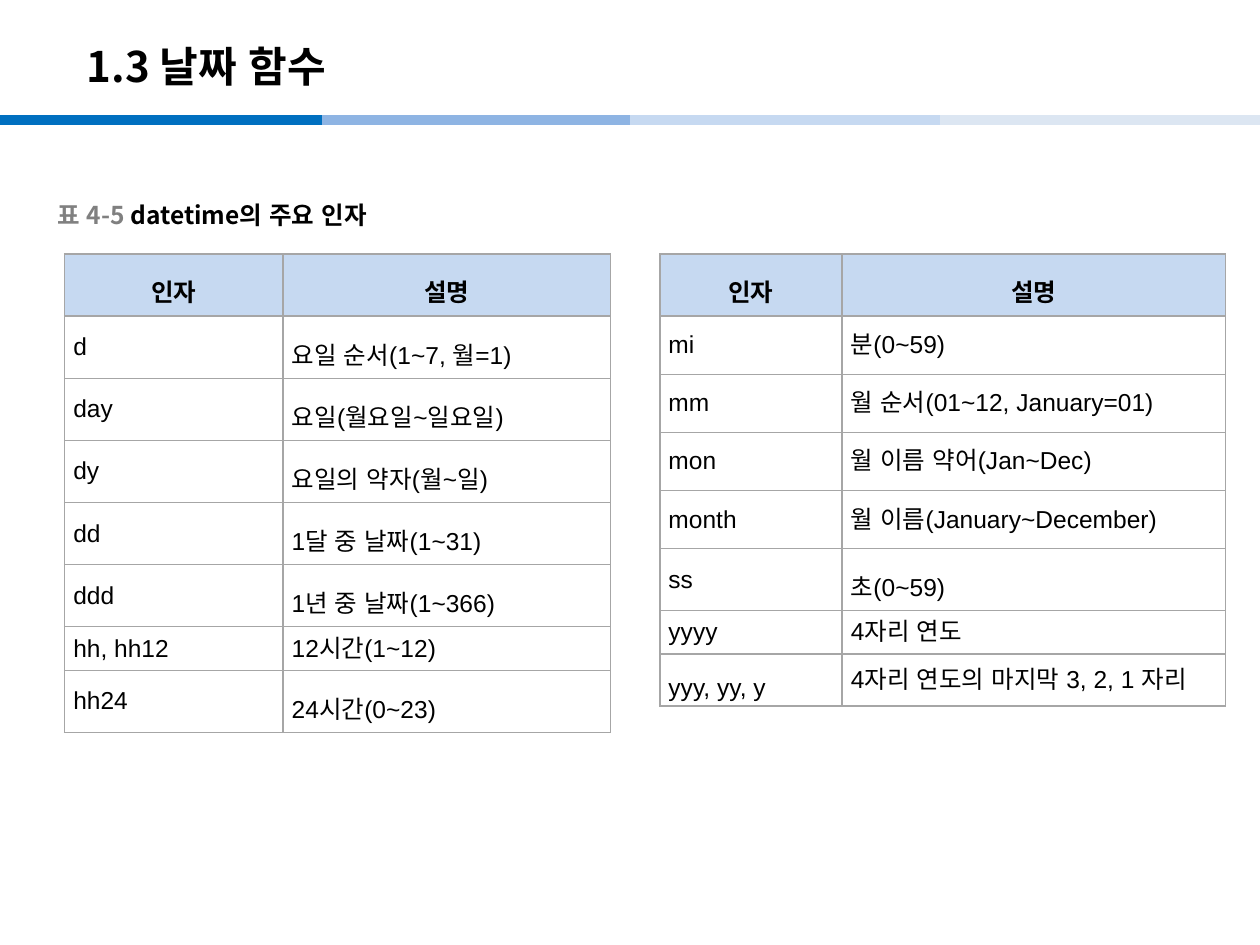
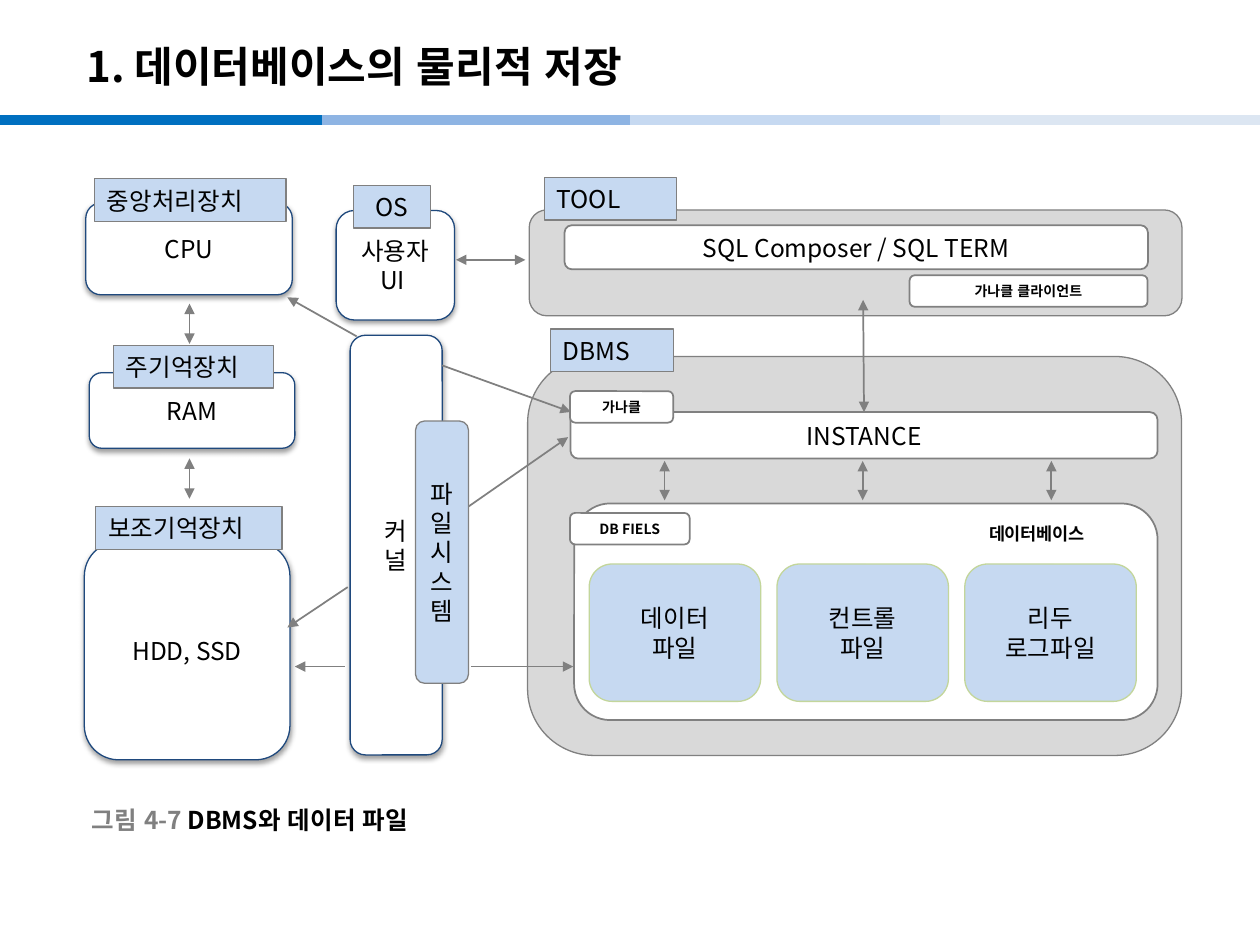
from lxml import etree
from pptx import Presentation
from pptx.dml.color import RGBColor
from pptx.enum import shapes as kinds, text as txt
from pptx.oxml import ns, parse_xml
from pptx.util import Pt

BLACK = RGBColor(0, 0, 0)
WHITE = RGBColor(255, 255, 255)
GREY = RGBColor(0x80, 0x80, 0x80)
PALE = RGBColor(0xD9, 0xD9, 0xD9)
RULE = RGBColor(0xA6, 0xA6, 0xA6)
NAVY = RGBColor(0x1F, 0x49, 0x7D)
GREEN = RGBColor(0xC3, 0xD6, 0x9B)
SKY = RGBColor(0xC6, 0xD9, 0xF1)
BANDS = [
    (0, RGBColor(0x00, 0x70, 0xC0)),
    (184.3, RGBColor(0x8E, 0xB4, 0xE3)),
    (360, SKY),
    (537, RGBColor(0xDC, 0xE6, 0xF2)),
]
NOTO, ARIAL = "Noto Sans CJK KR", "Arial"
LEFT, MID = txt.PP_ALIGN.LEFT, txt.PP_ALIGN.CENTER
ROUND, RECT = kinds.MSO_SHAPE.ROUNDED_RECTANGLE, kinds.MSO_SHAPE.RECTANGLE

BODY = {"size": Pt(14), "name": NOTO, "bold": False}
HEAD = {**BODY, "size": Pt(24), "bold": True}
BOLD = {**BODY, "bold": True}
NOTE = {**BOLD, "size": Pt(10)}
SMALL = {**BOLD, "size": Pt(8)}
CELL = {**BODY, "name": ARIAL}

UNIT = {"kind": ROUND, "fill": WHITE, "line": NAVY, "width": 0.75, "glow": True}
TAG = {"kind": RECT, "fill": SKY, "line": GREY, "width": 0.75, "align": LEFT}
PANEL = {"kind": ROUND, "fill": PALE, "line": GREY, "width": 0.75}
BAR = {"kind": ROUND, "fill": WHITE, "line": GREY, "width": 1}
CHIP = {**BAR, "font": SMALL}
FILE = {**PANEL, "fill": SKY, "line": GREEN}
STRIP = {**PANEL, "fill": SKY}
NAME = {**TAG, "fill": WHITE, "line": WHITE, "width": 2, "font": NOTE}

TAG_H = 24.5
TALL, PLAIN, LOW = 35.5, 33.2, 24.9
DARK = (
    f'<a:effectLst {ns.nsdecls("a")}><a:outerShdw blurRad="39370" dist="20320" '
    'dir="5400000" rotWithShape="0"><a:srgbClr val="000000"><a:alpha val="38000"/>'
    "</a:srgbClr></a:outerShdw></a:effectLst>"
)


def assign(target, values):
    for key, value in values.items():
        setattr(target, key, value)


def write(para, words, form, color=BLACK):
    run = para.add_run()
    run.text = words
    assign(run.font, form)
    run.font.color.rgb = color
    east = etree.SubElement(run.font._element, ns.qn("a:ea"))
    east.set("typeface", ARIAL)


def place(box, left, top, width, height):
    return [Pt(v) for v in (box[0] + left, box[1] + top, width, height)]


def part(slide, box, area, look, words=""):
    item = slide.shapes.add_shape(look["kind"], *place(box, *area))
    item.fill.solid()
    item.fill.fore_color.rgb = look["fill"]
    item.line.color.rgb = look["line"]
    item.line.width = Pt(look["width"])
    if look.get("glow"):
        item._element.spPr.append(parse_xml(DARK))
    else:
        item.shadow.inherit = False
    frame = item.text_frame
    assign(frame, {"word_wrap": True, "vertical_anchor": txt.MSO_ANCHOR.MIDDLE})
    for i, line in enumerate(words.split("\n") if words else []):
        para = frame.add_paragraph() if i else frame.paragraphs[0]
        para.alignment = look.get("align", MID)
        write(para, line, look.get("font", BODY))
    return item


def stroke(slide, box, start, end, color=GREY, width=1, ends=()):
    points = [Pt(box[i % 2] + v) for i, v in enumerate((*start, *end))]
    link = slide.shapes.add_connector(kinds.MSO_CONNECTOR.STRAIGHT, *points)
    link.line.color.rgb = color
    link.line.width = Pt(width)
    for side in ends:
        tip = etree.SubElement(link.line._get_or_add_ln(), ns.qn(f"a:{side}End"))
        tip.set("type", "triangle")
    etree.SubElement(link._element.spPr, ns.qn("a:effectLst"))
    return link


TAIL, BOTH = ("tail",), ("head", "tail")


def label(slide, box, pieces, form):
    frame = slide.shapes.add_textbox(*place(box, 0, 0, *box[2:])).text_frame
    assign(frame, {"word_wrap": True, "vertical_anchor": txt.MSO_ANCHOR.MIDDLE})
    for words, color in pieces:
        write(frame.paragraphs[0], words, form, color)


def start(deck, title):
    slide = deck.slides.add_slide(deck.slide_layouts[6])
    for left, color in BANDS:
        stroke(slide, (left, 68.6), (0, 0), (min(184.3, 720 - left), 0), color, 6)
    label(slide, (42.5, 15.8, 595.4, 43.2), [(title, BLACK)], HEAD)
    return slide


def legend(slide, box, number, words):
    label(slide, box, [(number, GREY), (words, BLACK)], BOLD)


def frame_cell(cell):
    props = cell._tc.get_or_add_tcPr()
    for i, side in enumerate(("lnL", "lnR", "lnT", "lnB")):
        props.insert(i, parse_xml(
            f'<a:{side} {ns.nsdecls("a")} w="12700"><a:solidFill>'
            f'<a:srgbClr val="{RULE}"/></a:solidFill></a:{side}>'))


def grid(slide, box, widths, heights, rows, loose):
    rows = [("인자", "설명")] + rows
    area = place(box, 0, 0, sum(widths), sum(heights))
    table = slide.shapes.add_table(len(rows), len(widths), *area).table
    assign(table, {"first_row": False, "horz_banding": False})
    for col, width in zip(table.columns, widths):
        col.width = Pt(width)
    for r, (row, height) in enumerate(zip(rows, heights)):
        table.rows[r].height = Pt(height)
        for c, words in enumerate(row):
            cell = table.cell(r, c)
            assign(cell, {"margin_left": Pt(5), "margin_right": Pt(5),
                          "margin_top": Pt(1.4), "margin_bottom": Pt(1.4),
                          "vertical_anchor": txt.MSO_ANCHOR.MIDDLE})
            if r:
                cell.fill.background()
            else:
                cell.fill.solid()
                cell.fill.fore_color.rgb = SKY
            frame_cell(cell)
            para = cell.text_frame.paragraphs[0]
            para.alignment = LEFT if r else MID
            if r == 0 or (r, c) in loose:
                para.line_spacing = 1.6
            write(para, words, {**CELL, "bold": r == 0})


def hardware(slide, box):
    for area, words, tag, name in [
        ((1, 14, 118, 52.5), "CPU", (6, 0.2, 109.5), "중앙처리장치"),
        ((3, 111, 117.5, 43.2), "RAM", (16.8, 95.3, 91.5), "주기억장치"),
        ((0.2, 207.6, 117.5, 124.6), "HDD, SSD", (6.7, 187.4, 106.5), "보조기억장치"),
    ]:
        part(slide, box, area, UNIT, words)
        part(slide, box, (*tag, TAG_H), TAG, name)
    for top in (71.5, 160):
        stroke(slide, box, (60.3, top), (60.3, top + 23), ends=BOTH)


def system(slide, box):
    part(slide, box, (0, 14.4, 67.7, 62.6), UNIT, "사용자\nUI ")
    part(slide, box, (10, 0, 44, TAG_H), {**TAG, "align": MID}, "OS")
    part(slide, box, (8, 85.7, 52.6, 239.8), UNIT, "커\n널")
    part(slide, box, (45.4, 134.7, 30.2, 149.8), STRIP, "파일시스템")


def tools(slide, box):
    part(slide, box, (0, 0, *box[2:]), PANEL)
    part(slide, box, (20.2, 8.7, 333.4, 25.2), BAR, "SQL Composer / SQL TERM")
    part(slide, box, (8.6, -18.7, 75.6, TAG_H), TAG, "TOOL")
    part(slide, box, (217.4, 37.3, 136, 18), CHIP, "가나클 클라이언트")


def engine(slide, box):
    part(slide, box, (0, 0, *box[2:]), PANEL)
    part(slide, box, (26.6, 84, 333.4, 123.8), BAR)
    part(slide, box, (256.6, 91.4, 83.5, 19.4), NAME, "데이터베이스")
    for i, words in enumerate(["데이터\n파일", "컨트롤\n파일", "리두\n로그파일"]):
        part(slide, box, (35.2 + 107.3 * i, 118.6, 98, 78.5), FILE, words)
    core = part(slide, box, (24.5, 31.8, 335.5, 26.6), BAR, "INSTANCE")
    part(slide, box, (12.9, -15.7, 70.6, TAG_H), TAG, "DBMS")
    for x in (78.3, 191.5, 299.3):
        stroke(slide, box, (x, 59.7), (x, 82.2), ends=BOTH)
    part(slide, box, (24.2, 89.4, 68.4, 18), CHIP, "DB FIELS")
    part(slide, box, (24.2, 19.8, 59, 18), CHIP, "가나클")
    return core


def links(slide, box, core):
    for begin, end, ends in [
        ((219.8, 187.4), (276.7, 147.8), TAIL),
        ((150.7, 233.5), (116.2, 256.6), TAIL),
        ((204.7, 106.8), (278.2, 133.4), TAIL),
        ((155.8, 90.2), (116.2, 67.9), TAIL),
        ((149, 278.9), (120.5, 278.9), TAIL),
        ((221.3, 278.9), (279.6, 278.9), TAIL),
        ((212.6, 46.5), (252.2, 46.5), BOTH),
    ]:
        stroke(slide, box, begin, end, ends=ends)
    drop = stroke(slide, box, (445.2, 69.4), (445.9, 133.6), ends=BOTH)
    drop.end_connect(core, 0)


def dates(deck):
    slide = start(deck, "1.3 날짜 함수")
    grid(slide, (36.9, 145.2), (124.8, 187.2), [TALL] * 6 + [LOW, TALL], [
        ("d", "요일 순서(1~7, 월=1)"),
        ("day", "요일(월요일~일요일)"),
        ("dy", "요일의 약자(월~일)"),
        ("dd", "1달 중 날짜(1~31)"),
        ("ddd", "1년 중 날짜(1~366)"),
        ("hh, hh12", "12시간(1~12)"),
        ("hh24", "24시간(0~23)"),
    ], {(r, 1) for r in (1, 2, 3, 4, 5, 7)})
    legend(slide, (25.6, 111.6, 200, 22.3), "표 4-5 ", "datetime의 주요 인자")
    grid(slide, (377, 145.2), (104.2, 219), [TALL] + [PLAIN] * 4 + [TALL, LOW, 28], [
        ("mi", "분(0~59)"),
        ("mm", "월 순서(01~12, January=01)"),
        ("mon", "월 이름 약어(Jan~Dec)"),
        ("month", "월 이름(January~December)"),
        ("ss", "초(0~59)"),
        ("yyyy", "4자리 연도"),
        ("yyy, yy, y", "4자리 연도의 마지막 3, 2, 1 자리"),
    ], {(5, 1), (7, 0)})


def storage(deck):
    slide = start(deck, "1. 데이터베이스의 물리적 저장")
    hardware(slide, (48, 102))
    system(slide, (192.1, 105.9))
    tools(slide, (302.4, 120, 373, 60.5))
    core = engine(slide, (301.5, 203.7, 373.7, 228))
    links(slide, (48, 102), core)
    legend(slide, (45.4, 457.2, 200, 22.3), "그림 4-7 ", "DBMS와 데이터 파일")


def main():
    deck = Presentation()
    assign(deck, {"slide_width": Pt(720), "slide_height": Pt(540)})
    dates(deck)
    storage(deck)
    deck.save("out.pptx")


if __name__ == "__main__":
    main()
